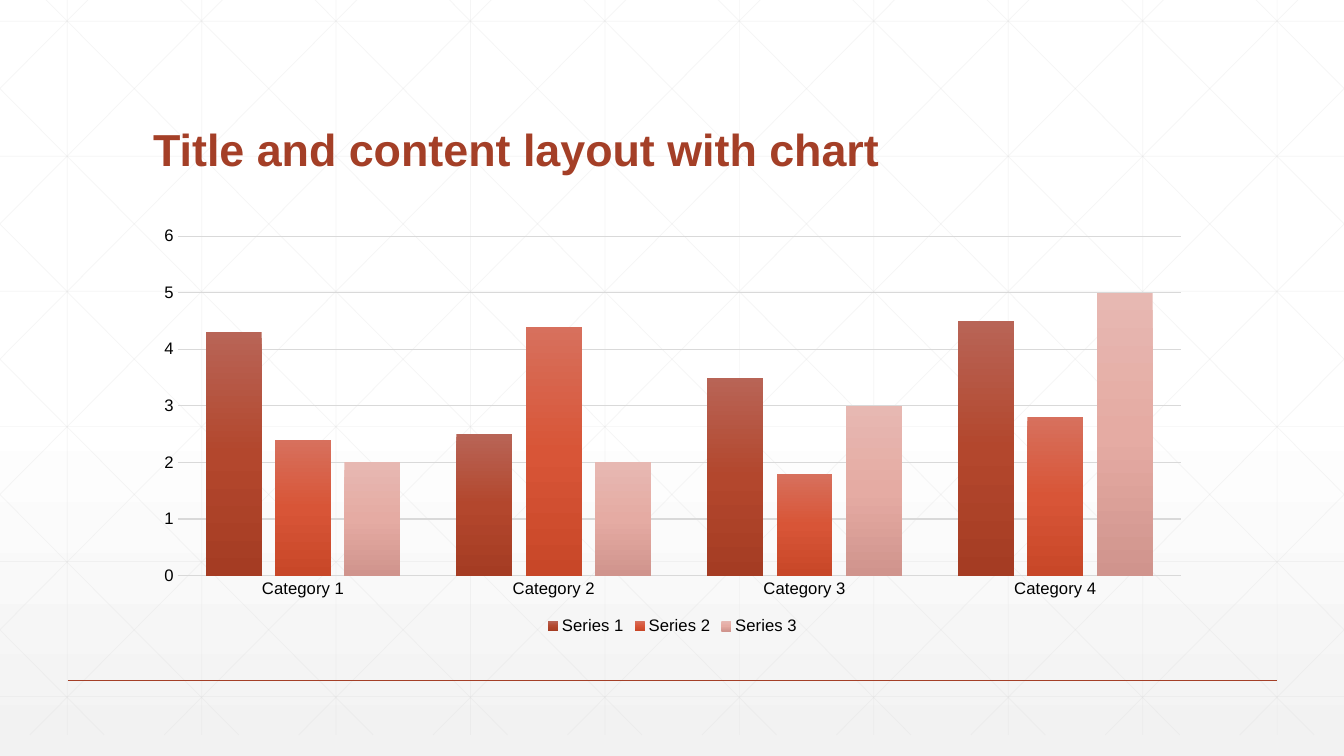
"""Build a slide with a clustered column chart over a faint line grid."""
from lxml.etree import SubElement as Sub
from pptx import Presentation
from pptx.chart.data import CategoryChartData as Data
from pptx.dml.color import RGBColor as RGB
from pptx.enum.chart import XL_CHART_TYPE as Kind, XL_LEGEND_POSITION as Side, XL_TICK_MARK as Tick
from pptx.enum.text import MSO_ANCHOR as Anchor
from pptx.oxml.ns import qn
from pptx.util import Inches, Pt

TITLE = "Title and content layout with chart"
CATS = ["Category 1", "Category 2", "Category 3", "Category 4"]
SERIES = [
    ("Series 1", (4.3, 2.5, 3.5, 4.5), ("B86456", "B3472D", "A53C23")),
    ("Series 2", (2.4, 4.4, 1.8, 2.8), ("D7705D", "D85537", "C84728")),
    ("Series 3", (2, 2, 3, 5), ("E7B8B2", "E5ABA3", "D0948D")),
]
HEX = {"rust": "A43F27", "grid": "D9D9D9", "text": "000000", "top": "FFFFFF", "base": "F2F2F2"}
FONT = "Arial"
WIDE, HIGH = 13.33, 7.5
TOP, LOW = -0.21, 7.29
STEP = 4 / 3
LEAN = 7.45 / 7.5


def paint(fill, root, stops):
    fill.gradient()
    fill.gradient_angle = 270
    group = root.find(".//" + qn("a:gsLst"))
    for old in list(group):
        group.remove(old)
    for pos, tone, alpha in stops:
        stop = Sub(group, qn("a:gs"), pos=str(pos * 1000))
        fade(Sub(stop, qn("a:srgbClr"), val=tone), alpha)


def fade(tone, alpha):
    if alpha < 100:
        Sub(tone, qn("a:alpha"), val=str(alpha * 1000))


def draw(slide, ends, tone, width, alpha=100):
    line = slide.shapes.add_connector(1, *map(Inches, ends))
    line.line.color.rgb = RGB.from_string(HEX[tone])
    line.line.width = Pt(width)
    props = line._element.spPr
    fade(props.find(".//" + qn("a:srgbClr")), alpha)
    Sub(props, qn("a:effectLst"))


def slant(k):
    x = 0.25 + k * STEP
    left, right = max(x, 0), min(x + HIGH * LEAN, WIDE)
    return left, TOP + (left - x) / LEAN, right, TOP + (right - x) / LEAN


def mesh():
    falls = [slant(k) for k in range(-5, 10)]
    cols = [((k + 0.5) * STEP, TOP, (k + 0.5) * STEP, LOW) for k in range(10)]
    rows = [(0, 0.21 + k * 1.34, WIDE, 0.21 + k * 1.34) for k in range(6)]
    return cols + rows + falls + [(WIDE - a, b, WIDE - c, d) for a, b, c, d in falls]


def write(font, size, tone):
    font.name, font.size = FONT, Pt(size)
    font.color.rgb = RGB.from_string(HEX[tone])


def rule(line):
    line.color.rgb = RGB.from_string(HEX["grid"])
    line.width = Pt(0.75)


def head(slide):
    box = slide.shapes.add_textbox(*map(Inches, (1.42, 0.55, 10.5, 1.25)))
    frame = box.text_frame
    frame.word_wrap = True
    frame.vertical_anchor = Anchor.BOTTOM
    par = frame.paragraphs[0]
    par.text = TITLE
    par.line_spacing = 0.9
    par.font.bold = True
    write(par.font, 32, "rust")


def plot(slide):
    data = Data()
    data.categories = CATS
    for name, vals, tones in SERIES:
        data.add_series(name, vals)
    place = map(Inches, (1.42, 2.17, 10.5, 4.17))
    chart = slide.shapes.add_chart(Kind.COLUMN_CLUSTERED, *place, data).chart
    chart.has_title = False
    write(chart.font, 11.9, "text")
    chart.has_legend = True
    chart.legend.position = Side.BOTTOM
    chart.legend.include_in_layout = False
    write(chart.legend.font, 11.9, "text")
    cat, val = chart.category_axis, chart.value_axis
    for axis in (cat, val):
        axis.major_tick_mark = axis.minor_tick_mark = Tick.NONE
        write(axis.tick_labels.font, 11.9, "text")
    rule(cat.format.line)
    val.format.line.fill.background()
    val.minimum_scale, val.maximum_scale, val.major_unit = 0, 6, 1
    rule(val.major_gridlines.format.line)
    bars = chart.plots[0]
    bars.gap_width, bars.overlap, bars.vary_by_categories = 100, -24, False
    for bar, (name, vals, tones) in zip(bars.series, SERIES):
        paint(bar.format.fill, bar._element, zip((0, 50, 100), tones, (100,) * 3))


def main():
    deck = Presentation()
    deck.slide_width, deck.slide_height = Inches(WIDE), Inches(HIGH)
    slide = deck.slides.add_slide(deck.slide_layouts[6])
    stops = (0, HEX["top"], 100), (53, HEX["top"], 100), (100, HEX["base"], 65)
    paint(slide.background.fill, slide._element, stops)
    for ends in mesh():
        draw(slide, ends, "grid", 0.5, 25)
    draw(slide, (0.67, 6.75, 12.67, 6.75), "rust", 1)
    head(slide)
    plot(slide)
    deck.save("out.pptx")


if __name__ == "__main__":
    main()
